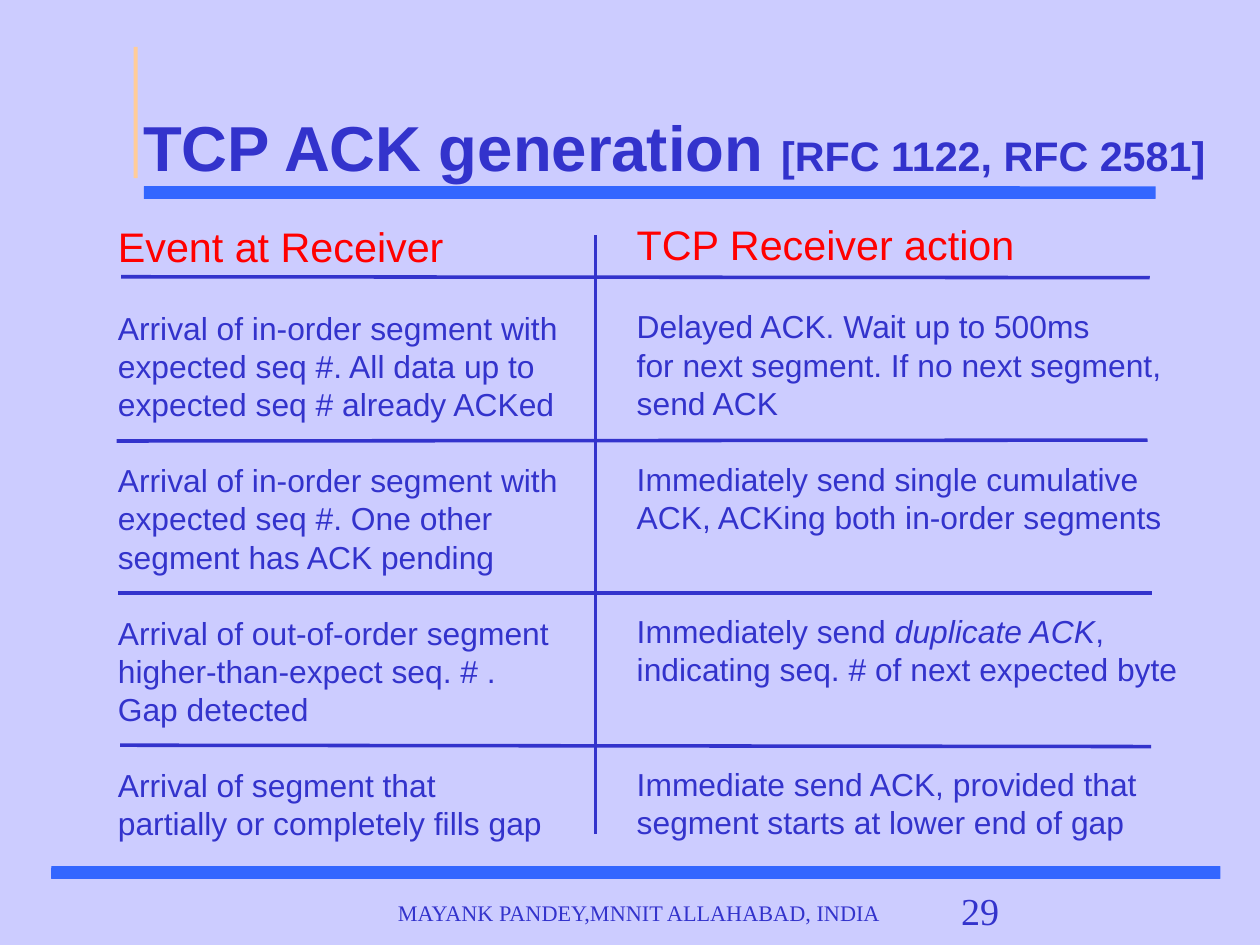
"""Build the slide on TCP ACK generation rules."""
import pptx
import pptx.util
import pptx.dml.color
import pptx.enum.shapes
import pptx.enum.text
import pptx.oxml.ns
from lxml import etree

Cm, Pt = pptx.util.Cm, pptx.util.Pt
RGBColor = pptx.dml.color.RGBColor
SHAPE = pptx.enum.shapes.MSO_SHAPE
ANCHOR = pptx.enum.text.MSO_ANCHOR
ALIGN = pptx.enum.text.PP_ALIGN

LAVENDER = RGBColor(0xCC, 0xCC, 0xFF)
INDIGO = RGBColor(0x33, 0x33, 0xCC)
BLUE = RGBColor(0x33, 0x66, 0xFF)
PEACH = RGBColor(0xFF, 0xCC, 0x99)
RED = RGBColor(0xFF, 0x00, 0x00)

TITLE = [("TCP ACK generation ", 40), ("[RFC 1122, RFC 2581]", 26)]
FOOTER = "MAYANK PANDEY,MNNIT ALLAHABAD, INDIA"
PAGE = "29"
EMPHASIS = "duplicate ACK"
COLUMNS = [
    ("Event at Receiver", (2.34, 4.75, 10.67, 15.77), [
        ["Arrival of in-order segment with",
         "expected seq #. All data up to",
         "expected seq # already ACKed"],
        ["Arrival of in-order segment with",
         "expected seq #. One other",
         "segment has ACK pending"],
        ["Arrival of out-of-order segment",
         "higher-than-expect seq. # .",
         "Gap detected"],
        ["Arrival of segment that",
         "partially or completely fills gap"],
    ]),
    ("TCP Receiver action", (13.87, 4.72, 13.2, 15.77), [
        ["Delayed ACK. Wait up to 500ms",
         "for next segment. If no next segment,",
         "send ACK"],
        ["Immediately send single cumulative",
         "ACK, ACKing both in-order segments"],
        ["Immediately send duplicate ACK,",
         "indicating seq. # of next expected byte"],
        ["Immediate send ACK, provided that",
         "segment starts at lower end of gap"],
    ]),
]
BARS = [
    (SHAPE.ROUNDED_RECTANGLE, (1.14, 19.25, 25.98, 0.28), BLUE),
    (SHAPE.ROUNDED_RECTANGLE, (3.2, 4.14, 22.48, 0.28), BLUE),
    (SHAPE.RECTANGLE, (2.97, 1.04, 0.09, 2.92), PEACH),
]
RULES = [
    (2.69, 6.15, 25.55, 6.17),
    (2.59, 9.8, 25.5, 9.78),
    (2.62, 13.18, 25.6, 13.18),
    (2.67, 16.56, 25.58, 16.59),
    (13.23, 5.23, 13.23, 18.54),
]
LINE = 24
HEADER_LINE = 31.5
LINES_PER_ROW = 4


def lengths(values):
    return [Cm(value) for value in values]


def apply(target, formats):
    for key, value in formats.items():
        setattr(target, key, value)


def frame_setup(frame, side=0, top=0, **formats):
    apply(frame, {"word_wrap": True, "auto_size": pptx.enum.text.MSO_AUTO_SIZE.NONE,
                  "margin_left": Cm(side), "margin_right": Cm(side),
                  "margin_top": Cm(top), "margin_bottom": Cm(top), **formats})
    return frame


def add_run(paragraph, text, size, color=INDIGO, font="Arial", **formats):
    run = paragraph.add_run()
    run.text = text
    apply(run.font, {"name": font, "size": Pt(size), **formats})
    run.font.color.rgb = color


def add_line(paragraph, text):
    before, emphasis, after = text.partition(EMPHASIS)
    for part, italic in ((before, False), (emphasis, True), (after, False)):
        if part:
            add_run(paragraph, part, 20, italic=italic)


def add_column(slide, header, box, rows):
    frame = frame_setup(slide.shapes.add_textbox(*lengths(box)).text_frame, 0.28, 0.15)
    heading = frame.paragraphs[0]
    heading.line_spacing = Pt(HEADER_LINE)
    add_run(heading, header, 26, RED)
    gap = LINE
    for row in rows:
        for index, text in enumerate(row):
            paragraph = frame.add_paragraph()
            apply(paragraph, {"line_spacing": Pt(LINE),
                              "space_before": Pt(0 if index else gap)})
            add_line(paragraph, text)
        gap = (LINES_PER_ROW - len(row)) * LINE


def add_caption(slide, text, box, size, spacing, align, **margins):
    frame = frame_setup(slide.shapes.add_textbox(*lengths(box)).text_frame, **margins)
    caption = frame.paragraphs[0]
    apply(caption, {"line_spacing": Pt(spacing), "alignment": align})
    add_run(caption, text, size, font="Times New Roman")


def add_rule(slide, ends):
    rule = slide.shapes.add_connector(
        pptx.enum.shapes.MSO_CONNECTOR.STRAIGHT, *lengths(ends))
    rule.line.width = Pt(2.25)
    rule.line.color.rgb = INDIGO
    etree.SubElement(rule._element.spPr, pptx.oxml.ns.qn("a:effectLst"))


def main():
    deck = pptx.Presentation()
    apply(deck, {"slide_width": Cm(28), "slide_height": Cm(21)})
    slide = deck.slides.add_slide(deck.slide_layouts[5])
    slide.background.fill.solid()
    slide.background.fill.fore_color.rgb = LAVENDER

    for kind, box, color in BARS:
        bar = slide.shapes.add_shape(kind, *lengths(box))
        bar.shadow.inherit = False
        bar.fill.solid()
        bar.fill.fore_color.rgb = color
        bar.line.fill.background()
        if kind == SHAPE.ROUNDED_RECTANGLE:
            bar.adjustments[0] = 0.02

    title = slide.shapes.title
    apply(title, dict(zip(("left", "top", "width", "height"),
                          lengths((3.18, 0.84, 24.82, 3.35)))))
    frame = frame_setup(title.text_frame, vertical_anchor=ANCHOR.MIDDLE)
    heading = frame.paragraphs[0]
    apply(heading, {"line_spacing": Pt(90), "alignment": ALIGN.LEFT})
    for text, size in TITLE:
        add_run(heading, text, size, bold=True)

    for header, box, rows in COLUMNS:
        add_column(slide, header, box, rows)
    for ends in RULES:
        add_rule(slide, ends)

    add_caption(slide, FOOTER, (3, 19.91, 22.4, 0.79), 14, 15.2, ALIGN.CENTER,
                side=0.25, top=0.13, vertical_anchor=ANCHOR.BOTTOM)
    add_caption(slide, PAGE, (21.36, 19.76, 3.56, 0.99), 24, 27.8, ALIGN.LEFT)
    deck.save("out.pptx")


if __name__ == "__main__":
    main()
